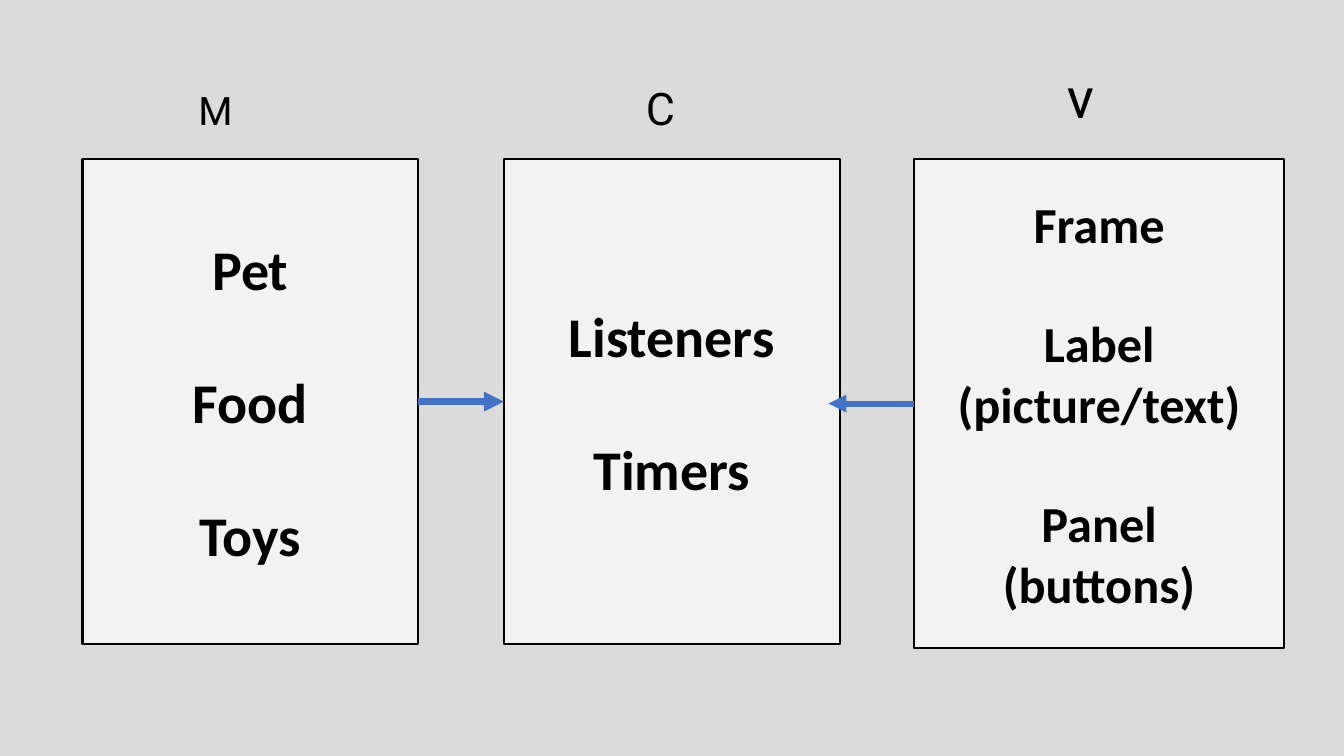
import pptx
import pptx.dml.color
import pptx.enum.shapes
import pptx.enum.text
import pptx.oxml
import pptx.oxml.ns
import pptx.util
from pptx.util import Cm

COLORS = {
    "background": "DBDBDB",
    "box": "F2F2F2",
    "ink": "000000",
    "arrow": "4472C4",
}
LEFT, RIGHT = 1, 3  # connection sites of a rectangle
BOX_TOP = Cm(4.01)


def rgb(name):
    return pptx.dml.color.RGBColor.from_string(COLORS[name])


def write(shape, groups, *, size, font, bold=False, centred=False, gap=0, top=0.25):
    """Write groups of lines, with a gap in points before every group but the first."""
    frame = shape.text_frame
    frame.word_wrap = True
    frame.vertical_anchor = pptx.enum.text.MSO_ANCHOR.TOP
    frame.margin_left = frame.margin_right = frame.margin_bottom = Cm(0.25)
    frame.margin_top = Cm(top)
    align = pptx.enum.text.PP_ALIGN
    lines = [(line, group > 0 and row == 0)
             for group, rows in enumerate(groups) for row, line in enumerate(rows)]
    for index, (line, starts_group) in enumerate(lines):
        paragraph = frame.add_paragraph() if index else frame.paragraphs[0]
        paragraph.alignment = align.CENTER if centred else align.LEFT
        if starts_group:
            paragraph.space_before = pptx.util.Pt(gap)
        run = paragraph.add_run()
        run.text = line
        run.font.size = pptx.util.Pt(size)
        run.font.name = font
        run.font.bold = bold
        run.font.color.rgb = rgb("ink")


def add_layer(slide, groups, left, width, height, **text_format):
    box = slide.shapes.add_shape(
        pptx.enum.shapes.MSO_SHAPE.RECTANGLE, Cm(left), BOX_TOP, Cm(width), Cm(height))
    box.shadow.inherit = False
    box.fill.solid()
    box.fill.fore_color.rgb = rgb("box")
    box.line.color.rgb = rgb("ink")
    box.line.width = pptx.util.Pt(1.5)
    write(box, groups, font="Calibri", bold=True, centred=True, **text_format)
    return box


def add_letter(slide, letter, left, top, width, height, size):
    label = slide.shapes.add_textbox(Cm(left), Cm(top), Cm(width), Cm(height))
    write(label, [[letter]], size=size, font="Roboto")


def add_arrow(slide, source, source_side, end_x, width):
    """Draw a level arrow from the middle of a box side to end_x."""
    y = source.top + source.height // 2
    arrow = slide.shapes.add_connector(
        pptx.enum.shapes.MSO_CONNECTOR.STRAIGHT, source.left, y, end_x, y)
    arrow.begin_connect(source, source_side)
    arrow.line.color.rgb = rgb("arrow")
    arrow.line.width = pptx.util.Pt(width)
    head = pptx.oxml.parse_xml(
        f'<a:tailEnd {pptx.oxml.ns.nsdecls("a")} type="triangle"/>')
    arrow.get_or_add_ln().append(head)
    no_shadow = pptx.oxml.parse_xml(f'<a:effectLst {pptx.oxml.ns.nsdecls("a")}/>')
    arrow.element.spPr.append(no_shadow)
    return arrow


def main():
    deck = pptx.Presentation()
    deck.slide_width, deck.slide_height = Cm(33.87), Cm(19.05)
    slide = deck.slides.add_slide(deck.slide_layouts[6])
    slide.background.fill.solid()
    slide.background.fill.fore_color.rgb = rgb("background")

    model = add_layer(slide, [["Pet"], ["Food"], ["Toys"]],
                      2.08, 8.46, 12.22, size=40, gap=47, top=1.9)
    controller = add_layer(slide, [["Listeners"], ["Timers"]],
                           12.7, 8.46, 12.22, size=40, gap=47, top=3.58)
    view = add_layer(
        slide, [["Frame"], ["Label", "(picture/text)"], ["Panel", "(buttons)"]],
        23.04, 9.32, 12.32, size=36, gap=42, top=0.86)

    add_letter(slide, "M", 4.75, 1.93, 3.12, 1.45, size=28)
    add_letter(slide, "C", 16.03, 1.78, 3.3, 1.63, size=32)
    add_letter(slide, "v", 26.64, 1.32, 3.3, 1.96, size=40)

    model_arrow = add_arrow(slide, model, RIGHT, controller.left, 4.75)
    model_arrow.end_connect(controller, LEFT)
    add_arrow(slide, view, LEFT, Cm(20.88), 4.25)

    deck.save("out.pptx")


if __name__ == "__main__":
    main()
